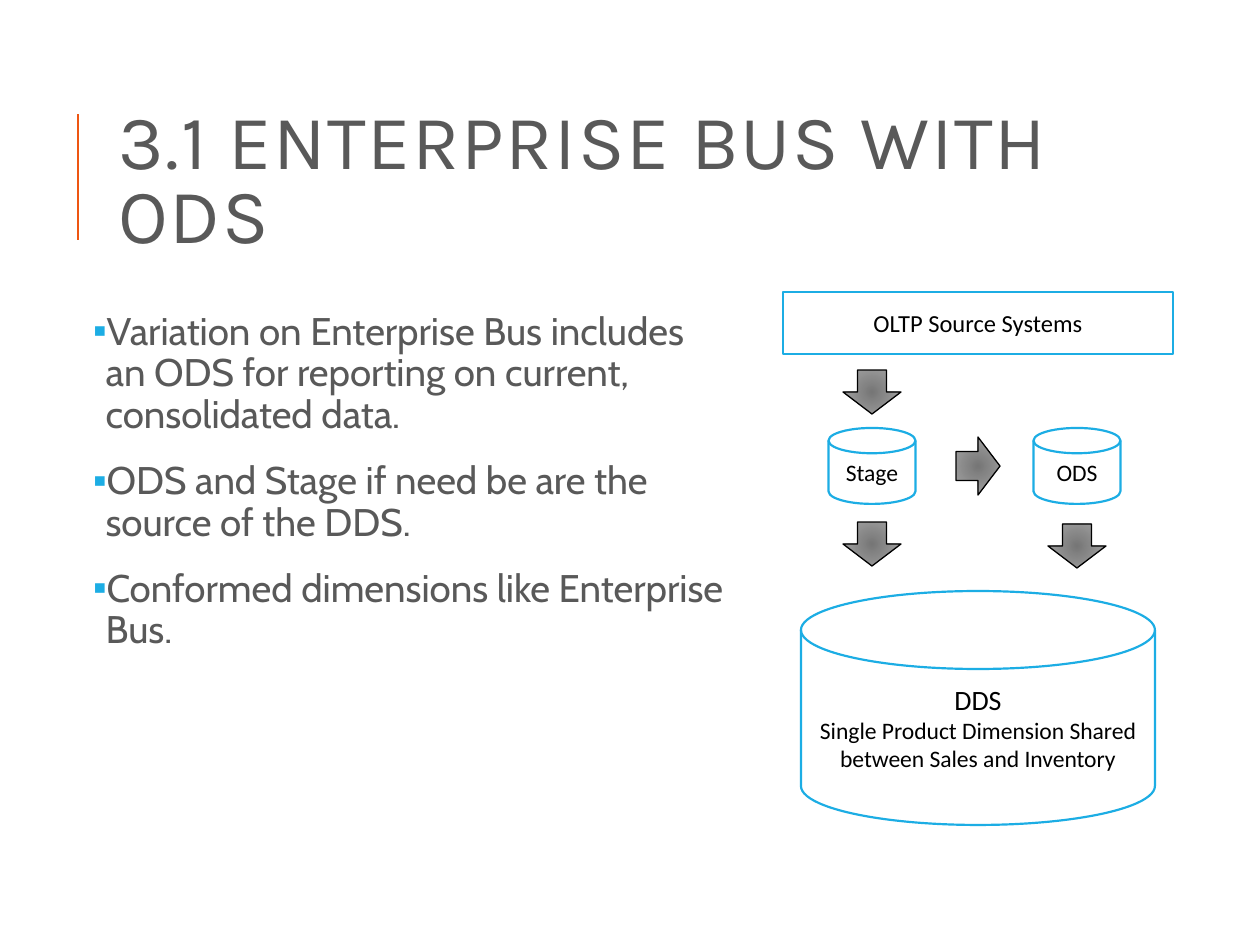
from lxml.etree import SubElement
from pptx import Presentation
from pptx.dml.color import RGBColor
from pptx.enum.shapes import MSO_CONNECTOR, MSO_SHAPE
from pptx.enum.text import MSO_ANCHOR, MSO_AUTO_SIZE, PP_ALIGN
from pptx.oxml.ns import qn
from pptx.util import Emu, Pt

ORANGE = RGBColor(0xEE, 0x56, 0x12)
BLUE = RGBColor(0x1C, 0xAD, 0xE4)
GRAY = RGBColor(0x59, 0x59, 0x59)
DARK = RGBColor(0x76, 0x76, 0x76)
LIGHT = RGBColor(0xA9, 0xA9, 0xA9)
WHITE = RGBColor(0xFF, 0xFF, 0xFF)
BLACK = RGBColor(0x00, 0x00, 0x00)

TITLE = "3.1 ENTERPRISE BUS WITH ODS"
BULLETS = [
    "Variation on Enterprise Bus includes an ODS for reporting on current, consolidated data.",
    "ODS and Stage if need be are the source of the DDS.",
    "Conformed dimensions like Enterprise Bus.",
]

STAGE_X, ODS_X = 872, 1077
CENTER_X = 978
DISK = MSO_SHAPE.FLOWCHART_MAGNETIC_DISK
NODES = [
    (MSO_SHAPE.RECTANGLE, CENTER_X, 292, 390, 62, [("OLTP Source Systems", 14)]),
    (DISK, STAGE_X, 428, 87, 76, [("Stage", 13.5)]),
    (DISK, ODS_X, 428, 87, 76, [("ODS", 13.5)]),
    (DISK, CENTER_X, 591, 354, 234, [
        ("DDS", 16),
        ("Single Product Dimension Shared between Sales and Inventory", 13.5),
    ]),
]
ARROW_WIDTH, ARROW_HEIGHT = 58, 44
ARROWS = [
    (STAGE_X, 370, 0),
    (STAGE_X, 522, 0),
    (ODS_X, 524, 0),
    (CENTER_X, 444, 270),
]


def px(value):
    return Emu(round(value * 914400 / 126))


def place(shape, left, top, width, height):
    shape.left, shape.top = px(left), px(top)
    shape.width, shape.height = px(width), px(height)


def add_run(paragraph, text, font_name, size, color):
    run = paragraph.add_run()
    run.text = text
    run.font.name = font_name
    run.font.size = Pt(size)
    run.font.color.rgb = color
    return run


def fill_title(title):
    place(title, 106, 81, 1077, 207)
    frame = title.text_frame
    frame.auto_size = MSO_AUTO_SIZE.NONE
    frame.vertical_anchor = MSO_ANCHOR.MIDDLE
    paragraph = frame.paragraphs[0]
    paragraph.alignment = PP_ALIGN.LEFT
    paragraph.line_spacing = 0.8
    run = add_run(paragraph, TITLE, "Karla", 44, GRAY)
    run.font._element.set("spc", "100")


def add_bullet(paragraph):
    properties = paragraph._p.get_or_add_pPr()
    properties.set("marL", str(px(12.6)))
    properties.set("indent", str(px(-12.6)))
    color = SubElement(properties, qn("a:buClr"))
    SubElement(color, qn("a:srgbClr"), val=str(BLUE))
    SubElement(properties, qn("a:buChar"), char="▪")


def fill_body(body):
    place(body, 87, 306, 651, 567)
    frame = body.text_frame
    frame.auto_size = MSO_AUTO_SIZE.NONE
    frame.margin_left = frame.margin_right = px(6)
    frame.margin_top = frame.margin_bottom = px(6)
    for index, text in enumerate(BULLETS):
        paragraph = frame.add_paragraph() if index else frame.paragraphs[0]
        add_bullet(paragraph)
        paragraph.line_spacing = 0.9
        paragraph.space_before = Pt(12 if index else 0)
        paragraph.space_after = Pt(2)
        add_run(paragraph, text, "Cabin", 22, GRAY)


def add_centered(slide, kind, center, top, width, height):
    shape = slide.shapes.add_shape(
        kind, px(center - width / 2), px(top), px(width), px(height))
    shape.shadow.inherit = False
    return shape


def add_node(slide, kind, center, top, width, height, lines):
    shape = add_centered(slide, kind, center, top, width, height)
    shape.fill.solid()
    shape.fill.fore_color.rgb = WHITE
    shape.line.color.rgb = BLUE
    shape.line.width = Pt(1.25)
    frame = shape.text_frame
    frame.word_wrap = True
    frame.vertical_anchor = MSO_ANCHOR.MIDDLE
    for index, (text, size) in enumerate(lines):
        paragraph = frame.add_paragraph() if index else frame.paragraphs[0]
        paragraph.alignment = PP_ALIGN.CENTER
        add_run(paragraph, text, "Calibri", size, BLACK)


def add_arrow(slide, center, top, rotation):
    shape = add_centered(
        slide, MSO_SHAPE.DOWN_ARROW, center, top, ARROW_WIDTH, ARROW_HEIGHT)
    shape.rotation = rotation
    shape.line.color.rgb = BLACK
    shape.line.width = Pt(0.75)
    shape.fill.gradient()
    for stop, color, position in zip(shape.fill.gradient_stops, (DARK, LIGHT), (0, 1)):
        stop.color.rgb = color
        stop.position = position
    gradient = shape._element.spPr.find(qn("a:gradFill"))
    gradient.remove(gradient.find(qn("a:lin")))
    radial = SubElement(gradient, qn("a:path"), {"path": "circle"})
    SubElement(radial, qn("a:fillToRect"), {side: "100000" for side in "ltrb"})


def add_accent(slide):
    accent = slide.shapes.add_connector(
        MSO_CONNECTOR.STRAIGHT, px(78), px(240), px(78), px(114))
    accent.line.color.rgb = ORANGE
    accent.line.width = Pt(1.5)
    SubElement(accent._element.spPr, qn("a:effectLst"))


def main():
    presentation = Presentation()
    presentation.slide_width, presentation.slide_height = px(1260), px(945)
    slide = presentation.slides.add_slide(presentation.slide_layouts[1])
    add_accent(slide)
    fill_title(slide.shapes.title)
    fill_body(slide.placeholders[1])
    for node in NODES:
        add_node(slide, *node)
    for arrow in ARROWS:
        add_arrow(slide, *arrow)
    presentation.save("out.pptx")


if __name__ == "__main__":
    main()
